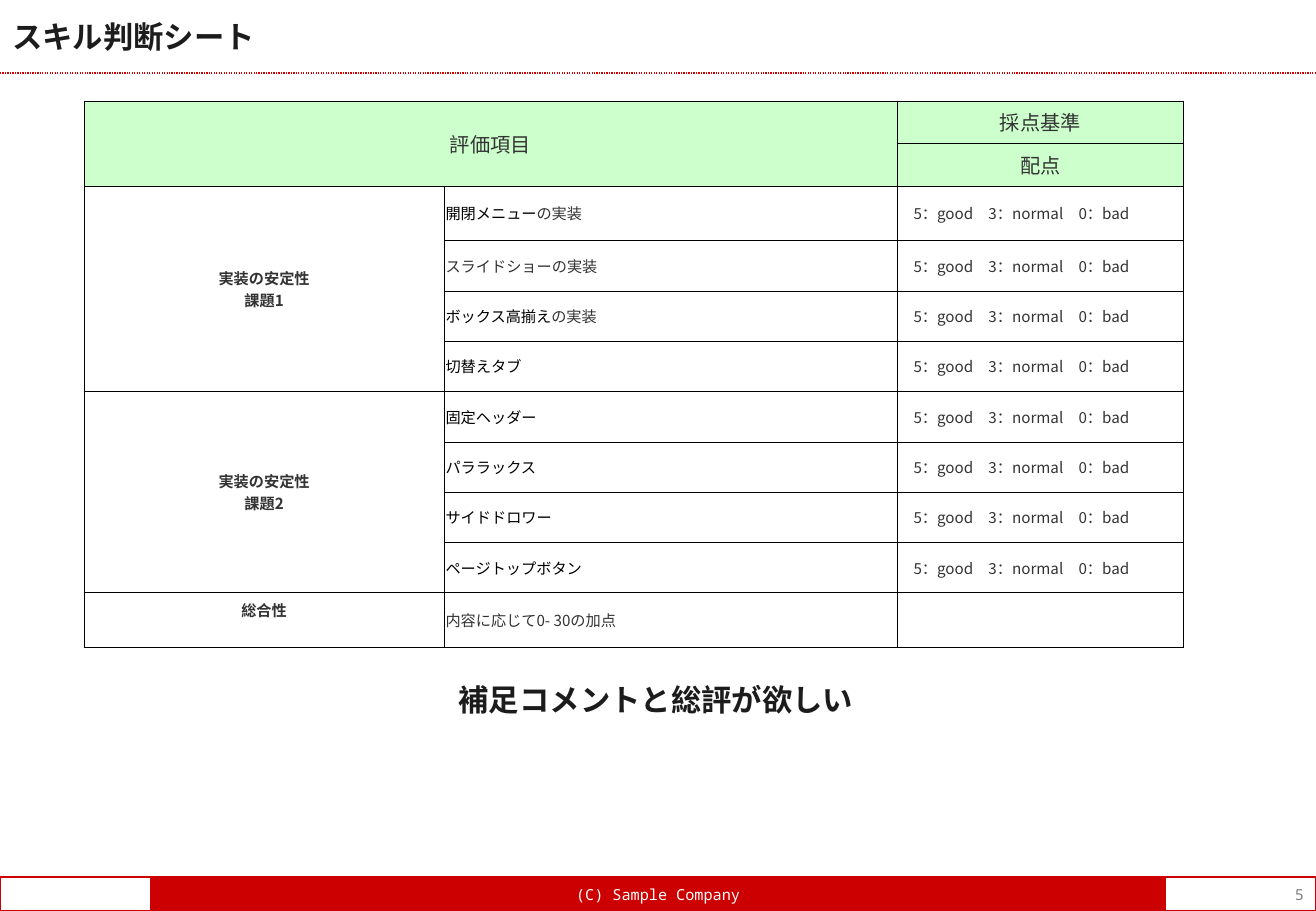
from dataclasses import dataclass
from typing import NamedTuple

from lxml import etree
from pptx import Presentation
from pptx import util as u
from pptx.dml.color import RGBColor
from pptx.enum import dml, shapes, text
from pptx.oxml.ns import qn


class Style(NamedTuple):
    size: float
    font: str
    color: str
    bold: bool = False


@dataclass(frozen=True)
class Theme:
    red: str = "CC0000"
    header_fill: str = "CCFFCC"
    border: str = "000000"
    border_pt: float = 0.23
    rule_pt: float = 0.75
    east_asian: str = "Noto Sans CJK JP"
    title: Style = Style(18, "Noto Sans Mono", "1C1C1C", True)
    footer: Style = Style(9, "Noto Sans Mono", "FFFFFF")
    page: Style = Style(9, "Noto Sans Mono", "808080")
    header: Style = Style(12, "Noto Sans CJK JP", "333333")
    group: Style = Style(9, "Noto Sans CJK JP", "333333", True)
    body: Style = Style(9, "Noto Sans CJK JP", "333333")
    item: Style = Style(9, "Noto Sans Mono", "000000")


class Piece(NamedTuple):
    text: str
    style: Style


class Group(NamedTuple):
    name: str
    items: list[list[Piece]]
    score: str
    anchor: text.MSO_ANCHOR = text.MSO_ANCHOR.MIDDLE


class FooterBox(NamedTuple):
    left: float
    width: float
    align: text.PP_ALIGN
    pieces: list[Piece]
    filled: bool = False


T = Theme()
LEFT, CENTER, RIGHT = text.PP_ALIGN.LEFT, text.PP_ALIGN.CENTER, text.PP_ALIGN.RIGHT
SCORE = " 5：good 3：normal 0：bad".replace(" ", "　")
GROUPS = [
    Group("実装の安定性\v課題1", [
        [Piece("開閉メニュー", T.item), Piece("の実装", T.body)],
        [Piece("スライドショーの実装", T.body)],
        [Piece("ボックス高揃え", T.item), Piece("の実装", T.body)],
        [Piece("切替えタブ", T.item)],
    ], SCORE),
    Group("実装の安定性\v課題2", [
        [Piece(name, T.item)]
        for name in ("固定ヘッダー", "パララックス", "サイドドロワー", "ページトップボタン")
    ], SCORE),
    Group("総合性", [[Piece("内容に応じて0- 30の加点", T.body)]], "", text.MSO_ANCHOR.TOP),
]
FOOTER = [
    FooterBox(0, 1.24, LEFT, []),
    FooterBox(1.24, 8.36, CENTER, [Piece("(C) Sample Company", T.footer)], True),
    FooterBox(9.6, 1.24, RIGHT, [Piece("5", T.page)]),
]
COLUMNS = [2.97, 3.73, 2.36]
HEADER_ROW, EDGE_ROW, TASK_ROW = 0.35, 0.45, 2.9 / 7


def apply_style(font: object, style: Style) -> None:
    font.size = u.Pt(style.size)
    font.bold = style.bold
    font.color.rgb = RGBColor.from_string(style.color)
    font.name = style.font
    etree.SubElement(font._rPr, qn("a:ea"), typeface=T.east_asian)


def write(tf, pieces: list[Piece], align: text.PP_ALIGN = LEFT) -> None:
    p = tf.paragraphs[0]
    p.alignment = align
    if len(pieces) == 1:
        p.text = pieces[0].text
        apply_style(p.font, pieces[0].style)
        return
    for piece in pieces:
        r = p.add_run()
        r.text = piece.text
        apply_style(r.font, piece.style)


def add_title(s) -> None:
    sp = s.shapes.title
    sp.left, sp.top, sp.width, sp.height = map(u.Inches, (0, 0, 10.83, 0.6))
    tf = sp.text_frame
    tf.auto_size = text.MSO_AUTO_SIZE.NONE
    tf.vertical_anchor = text.MSO_ANCHOR.MIDDLE
    write(tf, [Piece("スキル判断シート", T.title)])


def add_rule(s) -> None:
    y = u.Inches(0.6)
    line = s.shapes.add_connector(shapes.MSO_CONNECTOR.STRAIGHT, 0, y, u.Inches(10.83), y)
    line.line.color.rgb = RGBColor.from_string(T.red)
    line.line.width = u.Pt(T.rule_pt)
    line.line.dash_style = dml.MSO_LINE.ROUND_DOT
    etree.SubElement(line._element.spPr, qn("a:effectLst"))


def add_footer_box(s, box: FooterBox) -> None:
    sp = s.shapes.add_shape(
        shapes.MSO_SHAPE.RECTANGLE,
        *map(u.Inches, (box.left, 7.22, box.width, 0.28)),
    )
    sp.shadow.inherit = False
    sp.line.color.rgb = RGBColor.from_string(T.red)
    sp.line.width = u.Pt(T.rule_pt)
    if box.filled:
        sp.fill.solid()
        sp.fill.fore_color.rgb = RGBColor.from_string(T.red)
    else:
        sp.fill.background()
    sp.text_frame.vertical_anchor = text.MSO_ANCHOR.MIDDLE
    write(sp.text_frame, box.pieces, box.align)


def format_cell(cell, is_header: bool) -> None:
    cell.margin_left = cell.margin_right = u.Inches(0.01)
    cell.vertical_anchor = text.MSO_ANCHOR.MIDDLE
    cell.text_frame.paragraphs[0].font.size = u.Pt(T.body.size)
    tc_pr = cell._tc.get_or_add_tcPr()
    for side in ("lnL", "lnR", "lnT", "lnB"):
        ln = etree.SubElement(tc_pr, qn(f"a:{side}"), w=str(u.Pt(T.border_pt)))
        fill = etree.SubElement(ln, qn("a:solidFill"))
        etree.SubElement(fill, qn("a:srgbClr"), val=T.border)
    if is_header:
        cell.fill.solid()
        cell.fill.fore_color.rgb = RGBColor.from_string(T.header_fill)
    else:
        cell.fill.background()


def add_skill_table(s) -> None:
    heights = [HEADER_ROW] * 2 + [EDGE_ROW] + [TASK_ROW] * 7 + [EDGE_ROW]
    table = s.shapes.add_table(
        len(heights), len(COLUMNS),
        *map(u.Inches, (0.69, 0.83, sum(COLUMNS), sum(heights))),
    ).table
    table.first_row = table.horz_banding = False
    for column, width in zip(table.columns, COLUMNS):
        column.width = u.Inches(width)
    for i, (row, height) in enumerate(zip(table.rows, heights)):
        row.height = u.Inches(height)
        for cell in row.cells:
            format_cell(cell, i < 2)

    table.cell(0, 0).merge(table.cell(1, 1))
    for i, j, label in ((0, 0, "評価項目"), (0, 2, "採点基準"), (1, 2, "配点")):
        write(table.cell(i, j).text_frame, [Piece(label, T.header)], CENTER)

    top = 2
    for group in GROUPS:
        first = table.cell(top, 0)
        if len(group.items) > 1:
            first.merge(table.cell(top + len(group.items) - 1, 0))
        first.vertical_anchor = group.anchor
        write(first.text_frame, [Piece(group.name, T.group)], CENTER)
        for i, pieces in enumerate(group.items, top):
            write(table.cell(i, 1).text_frame, pieces)
            if group.score:
                write(table.cell(i, 2).text_frame, [Piece(group.score, T.body)])
        top += len(group.items)


def add_comment(s) -> None:
    sp = s.shapes.add_textbox(*map(u.Inches, (3.68, 5.56, 4.33, 0.4)))
    sp.text_frame.word_wrap = True
    write(sp.text_frame, [Piece("補足コメントと総評が欲しい", T.title)])


def main() -> None:
    prs = Presentation()
    prs.slide_width, prs.slide_height = u.Inches(10.84), u.Inches(7.5)
    s = prs.slides.add_slide(prs.slide_layouts[5])
    add_rule(s)
    for box in FOOTER:
        add_footer_box(s, box)
    add_title(s)
    add_skill_table(s)
    add_comment(s)
    prs.save("out.pptx")


if __name__ == "__main__":
    main()
